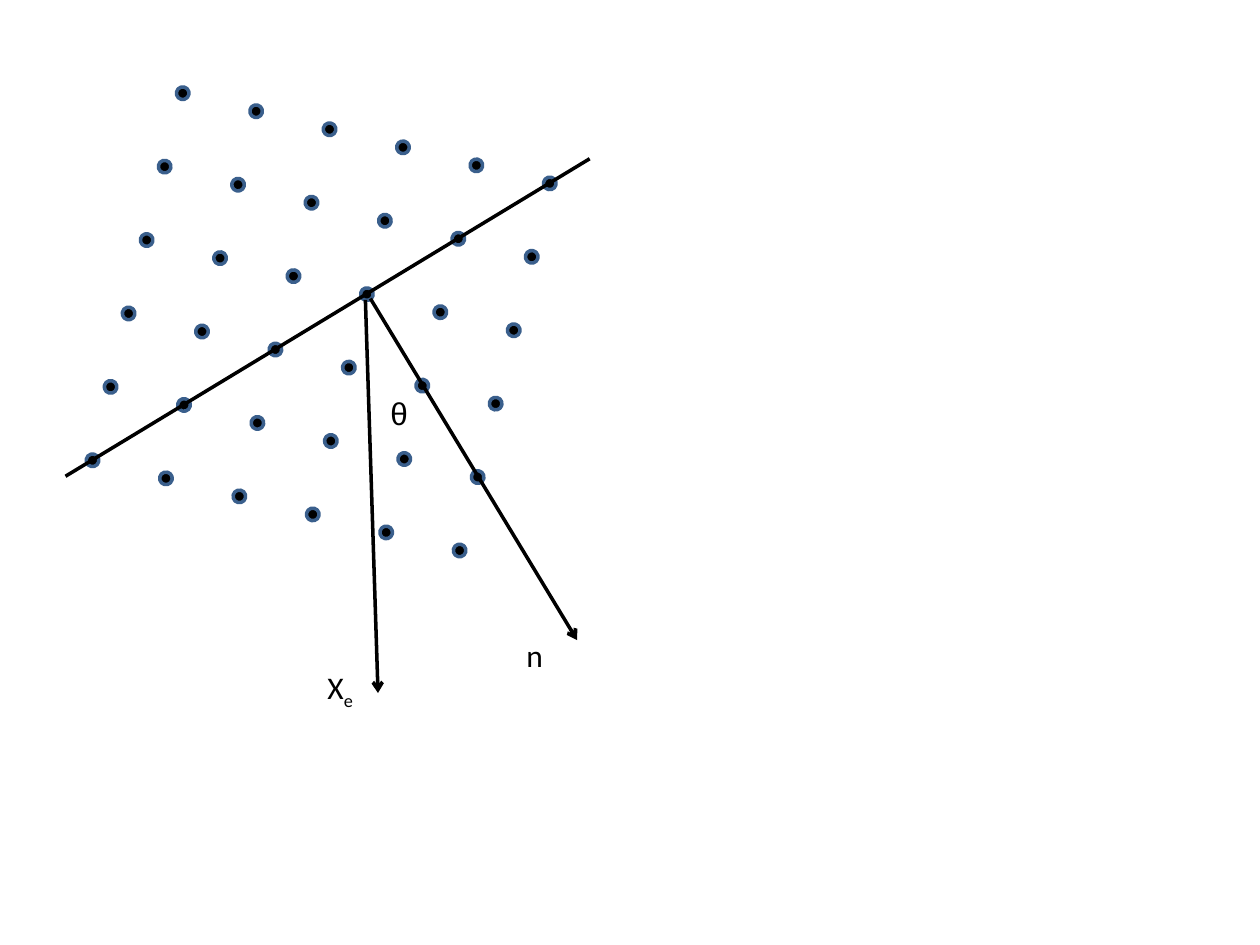
from math import cos, radians, sin

from lxml import etree
from pptx import Presentation
from pptx.dml.color import RGBColor
from pptx.enum.shapes import MSO_CONNECTOR, MSO_SHAPE
from pptx.enum.text import MSO_AUTO_SIZE
from pptx.oxml.ns import qn
from pptx.util import Inches, Pt

ELLIPSE = MSO_SHAPE.OVAL
STRAIGHT = MSO_CONNECTOR.STRAIGHT
FIT_SHAPE = MSO_AUTO_SIZE.SHAPE_TO_FIT_TEXT
COLORS = {"ink": "000000", "rim": "3A5F8C"}
BLANK_LAYOUT = 6
LATTICE_SIZE = 6
SPACING = 0.6
TILT = 13.8


class LatticeSlide:
    """Draws a tilted point lattice, its directions and their labels."""

    line_width = Pt(2)
    dot_size = Inches(0.1)
    text_size = Pt(18)

    def __init__(self, slide):
        self.shapes = slide.shapes

    def color(self, name):
        return RGBColor.from_string(COLORS[name])

    def lattice(self, left, top):
        atoms = self.shapes.add_group_shape()
        across = SPACING * cos(radians(TILT))
        down = SPACING * sin(radians(TILT))
        for row in range(LATTICE_SIZE):
            for column in range(LATTICE_SIZE):
                x = left + column * across - row * down
                y = top + column * down + row * across
                self.atom(atoms, x, y)

    def atom(self, group, left, top):
        atom = group.shapes.add_shape(
            ELLIPSE, Inches(left), Inches(top), self.dot_size, self.dot_size
        )
        atom.rotation = TILT
        atom.shadow.inherit = False
        atom.fill.solid()
        atom.fill.fore_color.rgb = self.color("ink")
        atom.line.color.rgb = self.color("rim")
        atom.line.width = self.line_width

    def line(self, start, end, arrow=False):
        direction = self.shapes.add_connector(
            STRAIGHT, *(Inches(value) for value in (*start, *end))
        )
        direction.line.color.rgb = self.color("ink")
        direction.line.width = self.line_width
        properties = direction._element.spPr
        if arrow:
            outline = properties.find(qn("a:ln"))
            etree.SubElement(outline, qn("a:tailEnd"), type="arrow")
        etree.SubElement(properties, qn("a:effectLst"))

    def label(self, left, top, width, symbol, subscript="", font="Calibri"):
        label = self.shapes.add_textbox(
            Inches(left), Inches(top), Inches(width), Inches(0.4)
        )
        frame = label.text_frame
        frame.word_wrap = False
        frame.auto_size = FIT_SHAPE
        paragraph = frame.paragraphs[0]
        paragraph.text = symbol
        if subscript:
            index = paragraph.add_run()
            index.text = subscript
            index.font._element.set("baseline", "-25000")
        for run in paragraph.runs:
            run.font.name = font
            run.font.size = self.text_size
            run.font.color.rgb = self.color("ink")


def main():
    presentation = Presentation()
    presentation.slide_width = Inches(10)
    presentation.slide_height = Inches(7.5)
    layout = presentation.slide_layouts[BLANK_LAYOUT]
    diagram = LatticeSlide(presentation.slides.add_slide(layout))

    diagram.lattice(1.4, 0.69)
    diagram.line((0.52, 3.78), (4.68, 1.26))
    diagram.line((2.94, 2.37), (4.58, 5.08), arrow=True)
    diagram.line((2.9, 2.38), (3, 5.5), arrow=True)
    diagram.label(4.08, 5, 0.34, "n")
    diagram.label(2.5, 5.25, 0.41, "X", subscript="e")
    diagram.label(3, 3.08, 0.33, "θ", font="Arial")

    presentation.save("out.pptx")


if __name__ == "__main__":
    main()
